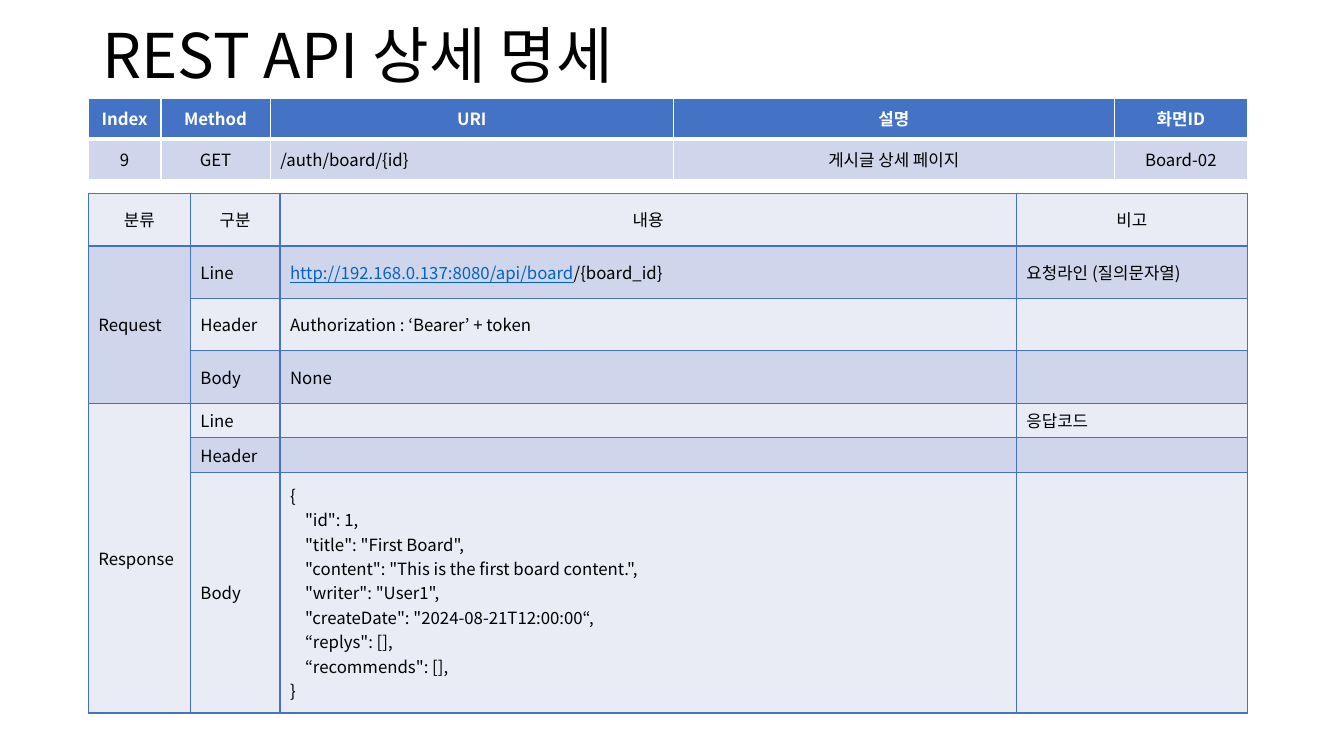
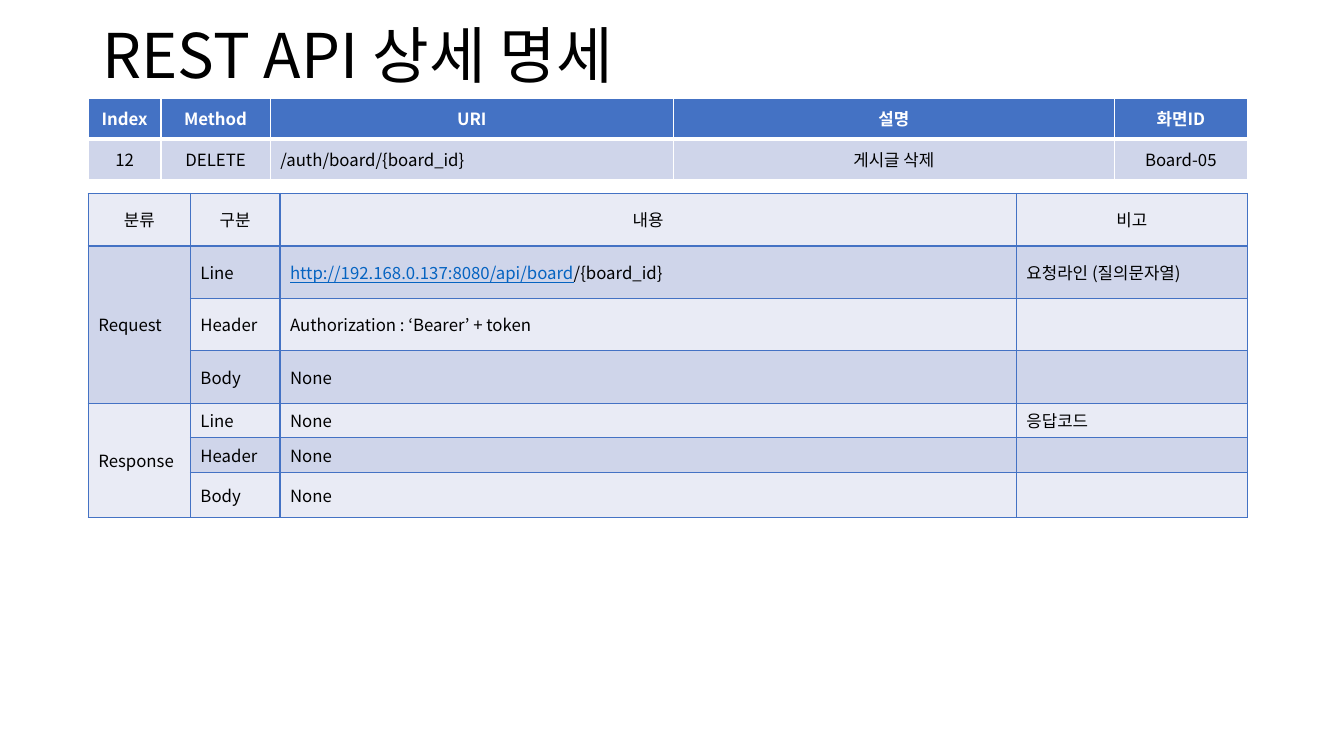
from lxml import etree
from pptx import Presentation
from pptx.dml.color import RGBColor
from pptx.enum import text as t
from pptx.oxml import ns
from pptx.util import Pt

FONT = "Noto Sans CJK KR"
BLUE, LINK, BLACK, WHITE = "4472C4", "0563C1", "000000", "FFFFFF"
BAND_LIGHT, BAND_DARK = "E9EBF5", "CFD5EA"
CENTER, LEFT = t.PP_ALIGN.CENTER, t.PP_ALIGN.LEFT

# Boxes: left, top, width (and height for the title)
TITLE_BOX = (66, 0, 828, 84)
SUMMARY_BOX = (63, 70, 828)
DETAIL_BOX = (63, 138.2, 828)

# Column widths and row heights
SUMMARY_COLS = (52, 78, 288, 315, 95)
SUMMARY_ROWS = (29.2, 29.2)
DETAIL_COLS = (73, 64, 526, 165)
TALL_ROW, SHORT_ROW = 37.5, 24.6

SUMMARY_HEADINGS = ("Index", "Method", "URI", "설명", "화면ID")
DETAIL_HEADINGS = ("분류", "구분", "내용", "비고")
BOARD_URL = (("http://192.168.0.137:8080/api/board", LINK), ("/{board_id}", BLACK))

BOARD_JSON = """{
    "id": 1,
    "title": "First Board",
    "content": "This is the first board content.",
    "writer": "User1",
    "createDate": "2024-08-21T12:00:00“,
    “replys": [],
    “recommends": [],
}"""

# What differs from one endpoint to the next
ENDPOINTS = (
    dict(summary=("9", "GET", "/auth/board/{id}", "게시글 상세 페이지", "Board-02"),
         response=("", "", BOARD_JSON), body_height=172),
    dict(summary=("12", "DELETE", "/auth/board/{board_id}", "게시글 삭제", "Board-05"),
         response=("None", "None", "None"), body_height=32.4),
)


def rgb(hex_colour):
    return RGBColor.from_string(hex_colour)


def set_font(font, size, color, bold=False, underline=False):
    font.name, font.size = FONT, Pt(size)
    font.bold, font.underline = bold, underline
    font.color.rgb = rgb(color)


def write(frame, content, size=12, color=BLACK, bold=False, align=LEFT, spacing=None):
    """Write a string, one paragraph a line, or a row of (text, colour) runs."""
    if isinstance(content, str):
        lines = [[(line, color)] for line in content.split("\n")]
    else:
        lines = [content]
    frame.word_wrap = True
    frame.vertical_anchor = t.MSO_ANCHOR.MIDDLE
    for i, line in enumerate(lines):
        paragraph = frame.add_paragraph() if i else frame.paragraphs[0]
        paragraph.alignment = align
        if spacing:
            paragraph.line_spacing = spacing
        if line[0][0] == "":
            set_font(paragraph.font, size, color)
            # An empty cell takes its height from the end mark
            end = etree.SubElement(paragraph._p, ns.qn("a:endParaRPr"))
            end.set("sz", str(size * 100))
            continue
        for words, run_color in line:
            run = paragraph.add_run()
            run.text = words
            set_font(run.font, size, run_color, bold, run_color == LINK)
            east_asian = etree.SubElement(run.font._element, ns.qn("a:ea"))
            east_asian.set("typeface", FONT)
            latin = run.font._element.find(ns.qn("a:latin"))
            latin.addnext(east_asian)


def set_borders(cell, color, top=1, bottom=1):
    properties = cell._tc.get_or_add_tcPr()
    sides = (("L", 1), ("R", 1), ("T", top), ("B", bottom))
    for i, (side, width) in enumerate(sides):
        line = etree.Element(ns.qn("a:ln" + side), w=str(Pt(width)))
        fill = etree.SubElement(line, ns.qn("a:solidFill"))
        etree.SubElement(fill, ns.qn("a:srgbClr"), val=color)
        properties.insert(i, line)


def fill_cell(cell, content, fill, **text_format):
    cell.fill.solid()
    cell.fill.fore_color.rgb = rgb(fill)
    cell.vertical_anchor = t.MSO_ANCHOR.MIDDLE
    write(cell.text_frame, content, **text_format)


def new_table(slide, box, columns, rows):
    left, top, width = box
    frame = slide.shapes.add_table(len(rows), len(columns), Pt(left), Pt(top),
                                   Pt(width), Pt(sum(rows)))
    table = frame.table
    table.first_row = table.horz_banding = False
    for column, size in zip(table.columns, columns):
        column.width = Pt(size)
    for row, size in zip(table.rows, rows):
        row.height = Pt(size)
    return table


def add_title(slide, box):
    title = slide.shapes.title
    title.left, title.top, title.width, title.height = map(Pt, box)
    write(title.text_frame, "REST API 상세 명세", size=44, spacing=0.9)


def add_summary(slide, box, values):
    table = new_table(slide, box, SUMMARY_COLS, SUMMARY_ROWS)
    for c, (heading, value) in enumerate(zip(SUMMARY_HEADINGS, values)):
        fill_cell(table.cell(0, c), heading, BLUE, color=WHITE, bold=True, align=CENTER)
        fill_cell(table.cell(1, c), value, BAND_DARK,
                  align=LEFT if heading == "URI" else CENTER)
        set_borders(table.cell(0, c), WHITE, bottom=3)
        set_borders(table.cell(1, c), WHITE, top=3)


def add_detail(slide, box, response, body_height):
    line, header, body = response
    rows = (
        DETAIL_HEADINGS,
        ("Request", "Line", BOARD_URL, "요청라인 (질의문자열)"),
        ("", "Header", "Authorization : ‘Bearer’ + token", ""),
        ("", "Body", "None", ""),
        ("Response", "Line", line, "응답코드"),
        ("", "Header", header, ""),
        ("", "Body", body, ""),
    )
    heights = [TALL_ROW] * 4 + [SHORT_ROW] * 2 + [body_height]
    table = new_table(slide, box, DETAIL_COLS, heights)
    for r, row in enumerate(rows):
        for c, content in enumerate(row):
            fill_cell(table.cell(r, c), content, BAND_DARK if r % 2 else BAND_LIGHT,
                      align=LEFT if r else CENTER)
            set_borders(table.cell(r, c), BLUE)
    # Request and Response each span three rows
    for first in (1, 4):
        table.cell(first, 0).merge(table.cell(first + 2, 0))


def add_endpoint_slide(deck, summary, response, body_height):
    slide = deck.slides.add_slide(deck.slide_layouts[5])
    add_title(slide, TITLE_BOX)
    add_summary(slide, SUMMARY_BOX, summary)
    add_detail(slide, DETAIL_BOX, response, body_height)


def main():
    deck = Presentation()
    deck.slide_width, deck.slide_height = Pt(960), Pt(540)
    for endpoint in ENDPOINTS:
        add_endpoint_slide(deck, **endpoint)
    deck.save("out.pptx")


if __name__ == "__main__":
    main()
